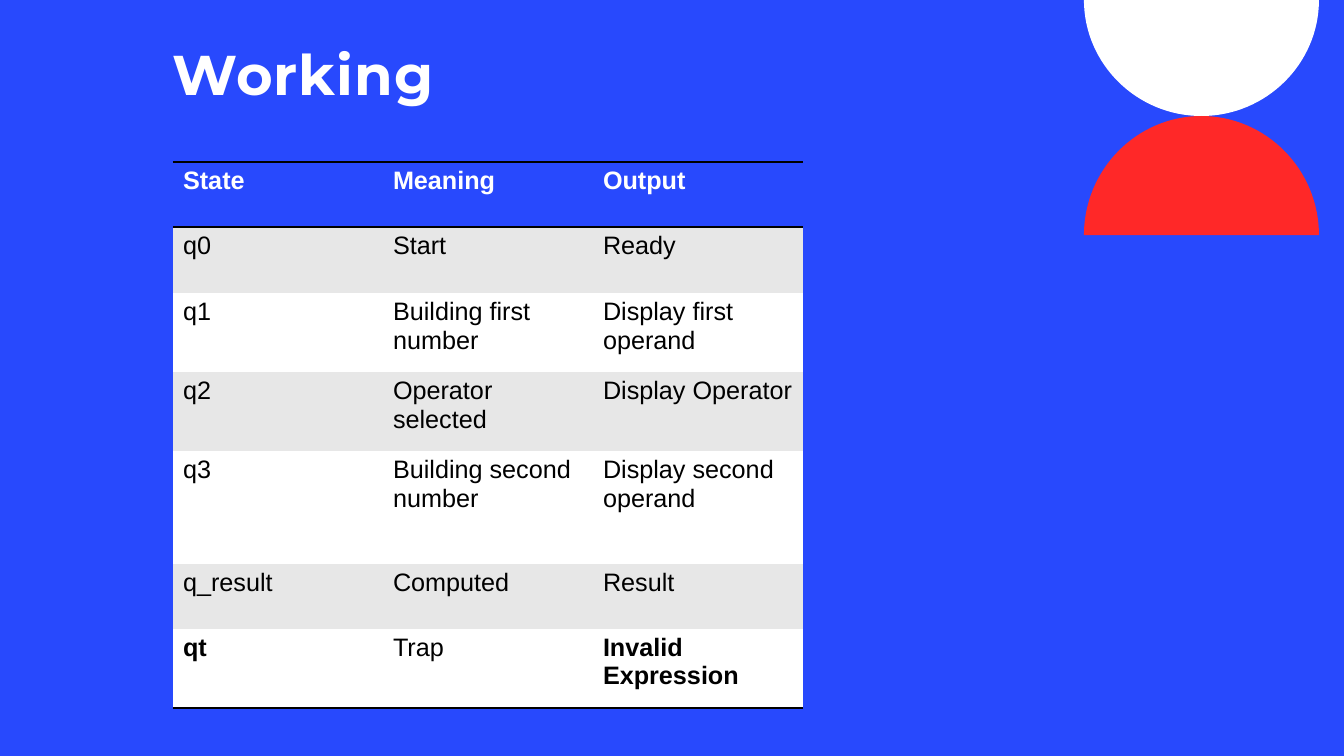
from dataclasses import dataclass

from lxml import etree
from pptx import Presentation
from pptx.dml.color import RGBColor
from pptx.enum.text import MSO_ANCHOR
from pptx.oxml.ns import qn
from pptx.slide import Slide
from pptx.table import _Cell
from pptx.text.text import TextFrame
from pptx.util import Emu, Pt

TOP = MSO_ANCHOR.TOP
SLIDE_WIDTH, SLIDE_HEIGHT = 1344, 756
EMU_PER_PX = 12192000 / SLIDE_WIDTH
ARC_HANDLE = 0.55
PLAIN_TABLE_STYLE = "{2D5ABB26-0587-4C30-8999-92F81FD0307C}"
COLOURS = {
    "blue": "2849FD",
    "red": "FF2828",
    "white": "FFFFFF",
    "grey": "E7E7E7",
    "black": "000000",
}


@dataclass(frozen=True)
class HalfDisc:
    left: int
    top: int
    width: int
    height: int
    colour: str
    points_down: bool


@dataclass(frozen=True)
class StateRow:
    state: str
    meaning: str
    output: str
    height: int
    bold: tuple[bool, bool, bool] = (False, False, False)
    rules: tuple[str, ...] = ()


HALF_DISCS = (
    HalfDisc(1084, 0, 235, 116, "white", True),
    HalfDisc(1084, 116, 235, 119, "red", False),
)
STATE_ROWS = (
    StateRow("State", "Meaning", "Output", 65, (True, True, True), ("a:lnT", "a:lnB")),
    StateRow("q0", "Start", "Ready", 66),
    StateRow("q1", "Building first number", "Display first operand", 79),
    StateRow("q2", "Operator selected", "Display Operator", 79),
    StateRow("q3", "Building second number", "Display second operand", 113),
    StateRow("q_result", "Computed", "Result", 65),
    StateRow("qt", "Trap", "Invalid Expression", 79, (True, False, True), ("a:lnB",)),
)
TABLE_LEFT, TABLE_TOP, COLUMN_WIDTH = 173, 162, 210


def px(length: float) -> Emu:
    return Emu(round(length * EMU_PER_PX))


def rgb(colour: str) -> RGBColor:
    return RGBColor.from_string(COLOURS[colour])


def write(frame: TextFrame, text: str, *, font: str, size: int, colour: str,
          bold: bool = False, line_spacing: float | None = None,
          tracking: float = 0) -> None:
    frame.word_wrap = True
    paragraph = frame.paragraphs[0]
    paragraph.line_spacing = line_spacing
    run = paragraph.add_run()
    run.text = text
    run.font.name = font
    run.font.size = Pt(size)
    run.font.bold = bold
    run.font.color.rgb = rgb(colour)
    if tracking:
        run.font._element.set("spc", str(round(tracking * 100)))


def draw_half_disc(slide: Slide, disc: HalfDisc) -> None:
    radius = disc.width / 2
    centre = disc.left + radius
    base = disc.top if disc.points_down else disc.top + disc.height
    rise = disc.height if disc.points_down else -disc.height
    units = (
        (1, 0), (1, ARC_HANDLE), (ARC_HANDLE, 1), (0, 1),
        (-ARC_HANDLE, 1), (-1, ARC_HANDLE), (-1, 0),
    )
    arc = [(px(centre + radius * x), px(base + rise * y)) for x, y in units]
    outline = slide.shapes.build_freeform(*arc[0])
    outline.add_line_segments(arc[1:], close=True)
    half = outline.convert_to_shape()
    segments = list(half._element.iter(qn("a:lnTo")))
    for first in range(0, len(segments), 3):
        curve = etree.Element(qn("a:cubicBezTo"))
        segments[first].addprevious(curve)
        for segment in segments[first:first + 3]:
            curve.append(segment[0])
            segment.getparent().remove(segment)
    half.shadow.inherit = False
    half.fill.solid()
    half.fill.fore_color.rgb = rgb(disc.colour)
    half.line.fill.background()


def rule_cell(cell: _Cell, side: str) -> None:
    rule = etree.SubElement(cell._tc.get_or_add_tcPr(), qn(side), w=str(Pt(2)))
    fill = etree.SubElement(rule, qn("a:solidFill"))
    etree.SubElement(fill, qn("a:srgbClr"), val=COLOURS["black"])


def draw_title(slide: Slide) -> None:
    frame = slide.shapes.add_textbox(px(173), px(47), px(902), px(202)).text_frame
    frame.margin_left = frame.margin_right = frame.margin_top = frame.margin_bottom = 0
    frame.vertical_anchor = TOP
    write(frame, "Working", font="Montserrat", size=40, colour="white",
          bold=True, line_spacing=0.9, tracking=0.8)


def draw_states(slide: Slide) -> None:
    height = sum(row.height for row in STATE_ROWS)
    states = slide.shapes.add_table(
        len(STATE_ROWS), 3, px(TABLE_LEFT), px(TABLE_TOP), px(3 * COLUMN_WIDTH), px(height)
    ).table
    states._tbl.tblPr.find(qn("a:tableStyleId")).text = PLAIN_TABLE_STYLE
    for column in states.columns:
        column.width = px(COLUMN_WIDTH)
    for index, row in enumerate(STATE_ROWS):
        states.rows[index].height = px(row.height)
        is_header = index == 0
        background = "blue" if is_header else "grey" if index % 2 else "white"
        labels = (row.state, row.meaning, row.output)
        for cell, label, bold in zip(states.rows[index].cells, labels, row.bold):
            for side in row.rules:
                rule_cell(cell, side)
            cell.fill.solid()
            cell.fill.fore_color.rgb = rgb(background)
            write(cell.text_frame, label, font="Arial", size=18, bold=bold,
                  colour="white" if is_header else "black")


def main() -> None:
    deck = Presentation()
    deck.slide_width, deck.slide_height = px(SLIDE_WIDTH), px(SLIDE_HEIGHT)
    slide = deck.slides.add_slide(deck.slide_layouts[6])
    slide.background.fill.solid()
    slide.background.fill.fore_color.rgb = rgb("blue")
    for disc in HALF_DISCS:
        draw_half_disc(slide, disc)
    draw_title(slide)
    draw_states(slide)
    deck.save("out.pptx")


if __name__ == "__main__":
    main()
